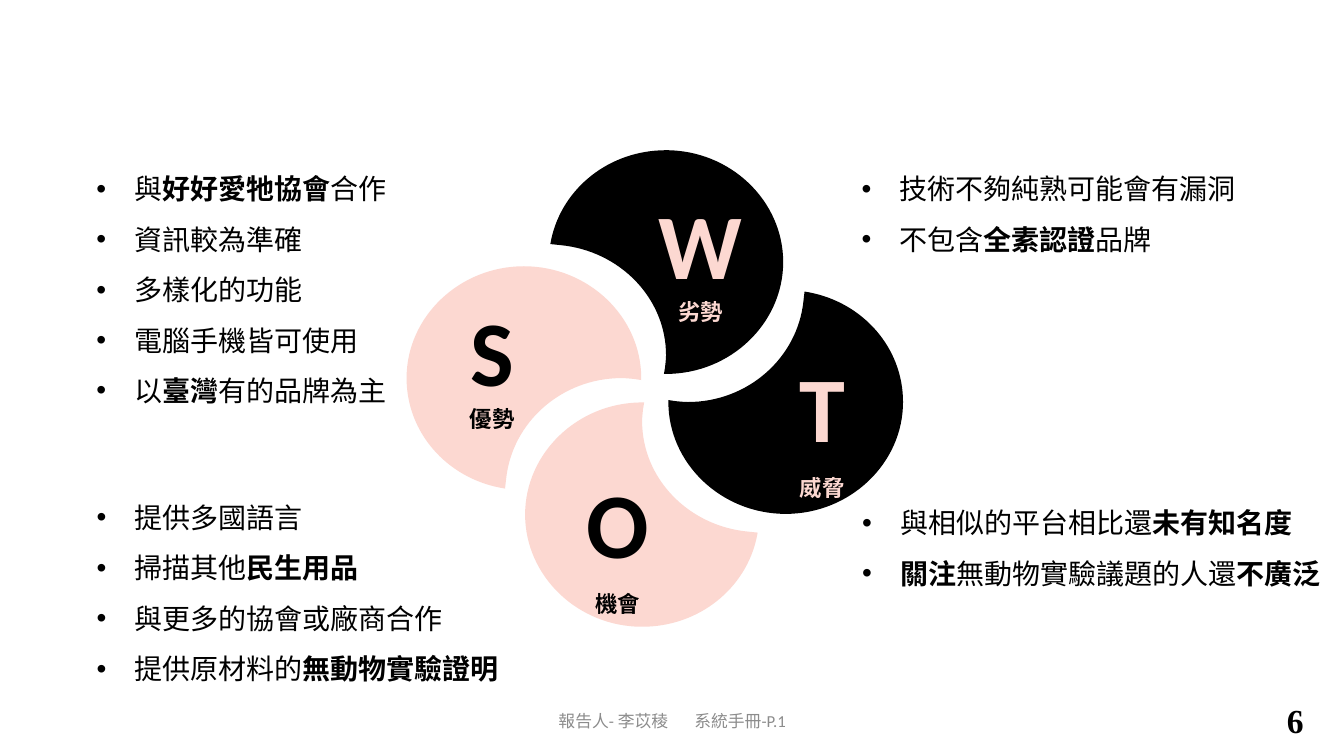
from dataclasses import dataclass

from lxml import etree
from pptx import Presentation
from pptx.dml.color import RGBColor
from pptx.enum.text import MSO_ANCHOR, MSO_AUTO_SIZE, PP_ALIGN
from pptx.oxml.ns import qn
from pptx.util import Pt

CENTER, LEFT = PP_ALIGN.CENTER, PP_ALIGN.LEFT
TOP, MIDDLE = MSO_ANCHOR.TOP, MSO_ANCHOR.MIDDLE
FIT, FIXED = MSO_AUTO_SIZE.SHAPE_TO_FIT_TEXT, MSO_AUTO_SIZE.NONE


@dataclass(frozen=True)
class Theme:
    black: str = "000000"
    pink: str = "FCD8D1"
    grey: str = "8C8C8C"
    latin: str = "Calibri"
    cjk: str = "Noto Sans CJK SC"
    serif: str = "Times New Roman"
    letter: int = 66
    label: int = 16
    body: int = 20
    footer: int = 12
    number: int = 24
    bullet_indent: int = 27


THEME = Theme()
Point = tuple[float, float]
Box = tuple[float, float, float, float]


@dataclass(frozen=True)
class Petal:
    letter: str
    label: str
    box: Box
    turns: int
    fill: str
    ink: str
    text_box: Box
    label_spacing: float


@dataclass(frozen=True)
class BulletList:
    """Lines in which *asterisks* enclose bold words."""
    box: Box
    lines: tuple[str, ...]
    first_spacing: float = 1.5


PETALS = (
    Petal("W", "劣勢", (393.1, 107.3, 166.3, 159.8), 1, THEME.black, THEME.pink,
          (446.2, 130.3, 108.7, 115.2), 1),
    Petal("S", "優勢", (290.4, 190.2, 167.6, 158.8), 0, THEME.pink, THEME.black,
          (307.4, 206.6, 88.6, 115.2), 1),
    Petal("O", "機會", (375.1, 287.5, 166.1, 160.2), 3, THEME.pink, THEME.black,
          (388.5, 329.3, 105.8, 105.1), 1.5),
    Petal("T", "威脅", (477.4, 208.3, 167.6, 158.8), 2, THEME.black, THEME.pink,
          (537.5, 246.5, 99.4, 105.1), 1.5),
)
BULLET_LISTS = (
    BulletList((61.7, 107.3, 481, 184.3),
               ("與*好好愛牠協會*合作", "資訊較為準確", "多樣化的功能",
                "電腦手機皆可使用", "以*臺灣*有的品牌為主")),
    BulletList((61.9, 342, 434.2, 148.3),
               ("提供多國語言", "掃描其他*民生用品*", "與更多的協會或廠商合作",
                "提供原材料的*無動物實驗證明*")),
    BulletList((608.4, 107.3, 481, 75.6),
               ("技術不夠純熟可能會有漏洞", "不包含*全素認證*品牌")),
    BulletList((608.8, 357.8, 361.4, 63.4),
               ("與相似的平台相比還*未有知名度*", "*關注*無動物實驗議題的人還*不廣泛*"),
               first_spacing=1),
)

# Unturned petal: each step is one line end or the three points of a curve.
PETAL_SIZE = (168, 159)
PETAL_START = (84, 0)
PETAL_STEPS = (
    ((130, 0), (168, 36), (168, 80)),
    ((168, 81.4),),
    ((162.7, 80.6),),
    ((160, 80.4), (157, 80), (154, 80)),
    ((111, 80), (75.6, 111.6), (71.3, 152)),
    ((70.5, 159),),
    ((67, 158.4),),
    ((28.8, 151), (0, 119), (0, 80)),
    ((0, 36), (38, 0), (84, 0)),
)


def place(point: Point, petal: Petal) -> tuple[int, int]:
    """Turn an outline point clockwise by quarters and fit it to the petal's box."""
    x, y = point[0] / PETAL_SIZE[0], point[1] / PETAL_SIZE[1]
    for _ in range(petal.turns):
        x, y = 1 - y, x
    left, top, width, height = petal.box
    return Pt(left + x * width), Pt(top + y * height)


def add_petal(shapes, petal: Petal) -> None:
    builder = shapes.build_freeform(*place(PETAL_START, petal), scale=1.0)
    builder.add_line_segments([place(step[-1], petal) for step in PETAL_STEPS], close=True)
    s = builder.convert_to_shape()
    bend_segments(s, petal)
    s.shadow.inherit = False
    s.fill.solid()
    s.fill.fore_color.rgb = RGBColor.from_string(petal.fill)
    s.line.fill.background()


def bend_segments(s, petal: Petal) -> None:
    """Turn the line segments of three-point steps into Bezier curves."""
    segments = list(s._element.iter(qn("a:lnTo")))
    for segment, step in zip(segments, PETAL_STEPS):
        if len(step) == 1:
            continue
        segment.tag = qn("a:cubicBezTo")
        for i, control in enumerate(step[:2]):
            x, y = place(control, petal)
            pt = etree.Element(qn("a:pt"), x=str(x - s.left), y=str(y - s.top))
            segment.insert(i, pt)


def add_text_box(shapes, box: Box, *, wrap: bool = True, anchor=TOP, fit=FIT):
    tf = shapes.add_textbox(*map(Pt, box)).text_frame
    tf.word_wrap, tf.auto_size, tf.vertical_anchor = wrap, fit, anchor
    return tf


def add_run(p, text: str, *, size: float, font: str, color: str = THEME.black,
            bold: bool = False, tracking: float = 0) -> None:
    r = p.add_run()
    r.text = text
    r.font.size, r.font.name, r.font.bold = Pt(size), font, bold
    r.font.color.rgb = RGBColor.from_string(color)
    props = r.font._element
    etree.SubElement(props, qn("a:ea")).set("typeface", THEME.cjk)
    if tracking:
        props.set("spc", str(round(tracking * 100)))


def set_bullet(p) -> None:
    props = p._p.get_or_add_pPr()
    props.set("marL", str(Pt(THEME.bullet_indent)))
    props.set("indent", str(-Pt(THEME.bullet_indent)))
    etree.SubElement(props, qn("a:buFont")).set("typeface", "Arial")
    etree.SubElement(props, qn("a:buChar")).set("char", "•")


def add_petal_text(shapes, petal: Petal) -> None:
    tf = add_text_box(shapes, petal.text_box)
    p = tf.paragraphs[0]
    p.alignment = CENTER
    add_run(p, petal.letter, size=THEME.letter, font=THEME.latin, color=petal.ink, bold=True)
    p = tf.add_paragraph()
    p.alignment, p.line_spacing = CENTER, petal.label_spacing
    add_run(p, petal.label, size=THEME.label, font=THEME.cjk, color=petal.ink, bold=True)


def add_bullet_list(shapes, bullets: BulletList) -> None:
    tf = add_text_box(shapes, bullets.box)
    for i, line in enumerate(bullets.lines):
        p = tf.add_paragraph() if i else tf.paragraphs[0]
        set_bullet(p)
        p.line_spacing = 1.5 if i else bullets.first_spacing
        for j, part in enumerate(line.split("*")):
            if part:
                add_run(p, part, size=THEME.body, font=THEME.cjk, bold=j % 2 == 1)


def add_footer(shapes) -> None:
    p = add_text_box(shapes, (318.2, 500.4, 324, 28.8), anchor=MIDDLE, fit=FIXED).paragraphs[0]
    p.alignment = CENTER
    for text, tracking in (("報告人- 李苡稜", 0), (" ", 16), ("系統手冊-P.1", 0)):
        add_run(p, text, size=THEME.footer, font=THEME.latin, color=THEME.grey,
                tracking=tracking)
    p = add_text_box(shapes, (912.2, 496.5, 27.4, 36), wrap=False).paragraphs[0]
    p.alignment = LEFT
    add_run(p, "6", size=THEME.number, font=THEME.serif, bold=True)


def main() -> None:
    prs = Presentation()
    prs.slide_width, prs.slide_height = Pt(960), Pt(540)
    shapes = prs.slides.add_slide(prs.slide_layouts[6]).shapes
    for petal in PETALS:
        add_petal(shapes, petal)
    for petal in PETALS:
        add_petal_text(shapes, petal)
    for bullets in BULLET_LISTS:
        add_bullet_list(shapes, bullets)
    add_footer(shapes)
    prs.save("out.pptx")


if __name__ == "__main__":
    main()
